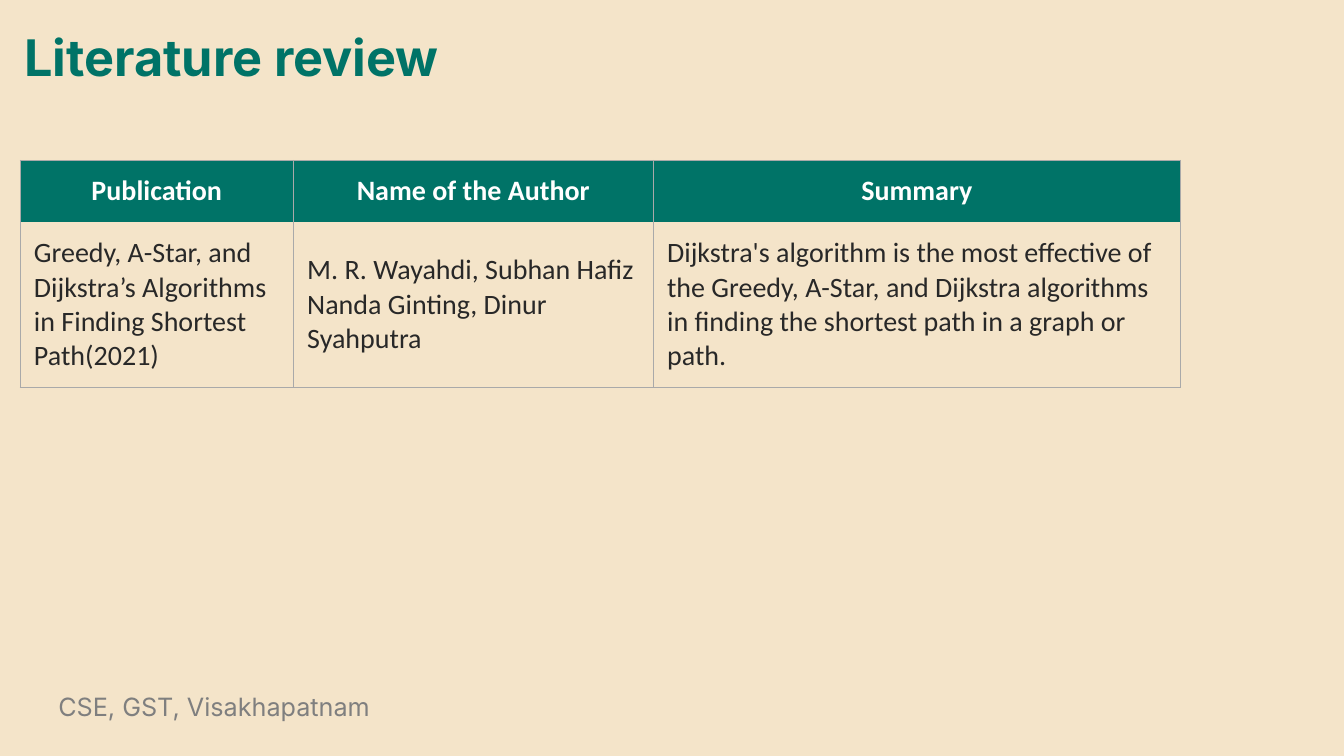
from dataclasses import dataclass

from lxml.etree import SubElement
from pptx import Presentation
from pptx.dml.color import RGBColor
from pptx.enum.text import MSO_ANCHOR, MSO_AUTO_SIZE, PP_ALIGN
from pptx.oxml.ns import qn
from pptx.util import Emu, Inches, Pt

SAND = RGBColor(0xF4, 0xE4, 0xC9)
TEAL = RGBColor(0x00, 0x73, 0x67)
WHITE = RGBColor(0xFF, 0xFF, 0xFF)
INK = RGBColor(0x28, 0x28, 0x28)
GREY = RGBColor(0x7F, 0x7F, 0x7F)
RULE = RGBColor(0xA9, 0xA9, 0xA9)

WIDTH, HEIGHT = Inches(13.33), Inches(7.5)


def across(share: float) -> Emu:
    return Emu(round(WIDTH * share / 100))


def down(share: float) -> Emu:
    return Emu(round(HEIGHT * share / 100))


@dataclass(frozen=True)
class Box:
    left: float
    top: float
    width: float
    height: float

    def frame(self) -> tuple[Emu, Emu, Emu, Emu]:
        return across(self.left), down(self.top), across(self.width), down(self.height)


@dataclass(frozen=True)
class Row:
    height: float
    texts: tuple[str, ...]
    fill: RGBColor
    color: RGBColor
    bold: bool
    align: PP_ALIGN
    edges: str


COLUMNS = (20.33, 26.78, 39.23)
ROWS = (
    Row(8.13, ("Publication", "Name of the Author", "Summary"),
        TEAL, WHITE, True, PP_ALIGN.CENTER, "LRT"),
    Row(21.47, (
        "Greedy, A-Star, and Dijkstra’s Algorithms in Finding Shortest Path(2021)",
        "M. R. Wayahdi, Subhan Hafiz Nanda Ginting, Dinur Syahputra",
        "Dijkstra's algorithm is the most effective of the Greedy, A-Star, and "
        "Dijkstra algorithms in finding the shortest path in a graph or path.",
    ), SAND, INK, False, PP_ALIGN.LEFT, "LRB"),
)


def write(frame, text: str, *, size: float, font: str, color: RGBColor,
          bold: bool = False, align: PP_ALIGN = PP_ALIGN.LEFT,
          space: float = 1.0) -> None:
    line = frame.paragraphs[0]
    line.alignment = align
    line.line_spacing = space
    run = line.add_run()
    run.text = text
    run.font.size = Pt(size)
    run.font.name = font
    run.font.bold = bold
    run.font.color.rgb = color


def border(cell, edges: str) -> None:
    props = cell._tc.get_or_add_tcPr()
    for spot, side in enumerate("LRTB"):
        line = SubElement(props, qn(f"a:ln{side}"), w=str(Pt(0.75)))
        props.insert(spot, line)
        if side in edges:
            paint = SubElement(line, qn("a:solidFill"))
            SubElement(paint, qn("a:srgbClr"), val=str(RULE))
        else:
            SubElement(line, qn("a:noFill"))


def add_grid(slide, left: float, top: float) -> None:
    box = Box(left, top, sum(COLUMNS), sum(row.height for row in ROWS))
    table = slide.shapes.add_table(len(ROWS), len(COLUMNS), *box.frame()).table
    table.first_row = table.horz_banding = False
    for column, width in zip(table.columns, COLUMNS):
        column.width = across(width)
    for index, row in enumerate(ROWS):
        table.rows[index].height = down(row.height)
        for cell, text in zip(table.rows[index].cells, row.texts):
            cell.margin_left = cell.margin_right = across(1.03)
            cell.margin_top = cell.margin_bottom = across(1.03)
            cell.vertical_anchor = MSO_ANCHOR.MIDDLE
            cell.fill.solid()
            cell.fill.fore_color.rgb = row.fill
            border(cell, row.edges)
            write(cell.text_frame, text, size=20, font="Calibri",
                  color=row.color, bold=row.bold, align=row.align)


def add_title(slide, text: str, box: Box) -> None:
    title = slide.shapes.title
    title.left, title.top, title.width, title.height = box.frame()
    frame = title.text_frame
    frame.auto_size = MSO_AUTO_SIZE.NONE
    frame.vertical_anchor = MSO_ANCHOR.TOP
    write(frame, text, size=36, font="Inter", color=TEAL, bold=True, space=0.9)


def add_foot(slide, text: str, box: Box) -> None:
    frame = slide.shapes.add_textbox(*box.frame()).text_frame
    frame.word_wrap = True
    frame.auto_size = MSO_AUTO_SIZE.SHAPE_TO_FIT_TEXT
    write(frame, text, size=18, font="Inter", color=GREY)


def main() -> None:
    deck = Presentation()
    deck.slide_width, deck.slide_height = WIDTH, HEIGHT
    slide = deck.slides.add_slide(deck.slide_layouts[5])
    slide.background.fill.solid()
    slide.background.fill.fore_color.rgb = SAND
    add_title(slide, "Literature review", Box(1.05, 3.73, 82.15, 5.73))
    add_grid(slide, 1.5, 21.2)
    add_foot(slide, "CSE, GST, Visakhapatnam", Box(3.6, 90.8, 39.31, 5.33))
    deck.save("out.pptx")


if __name__ == "__main__":
    main()
